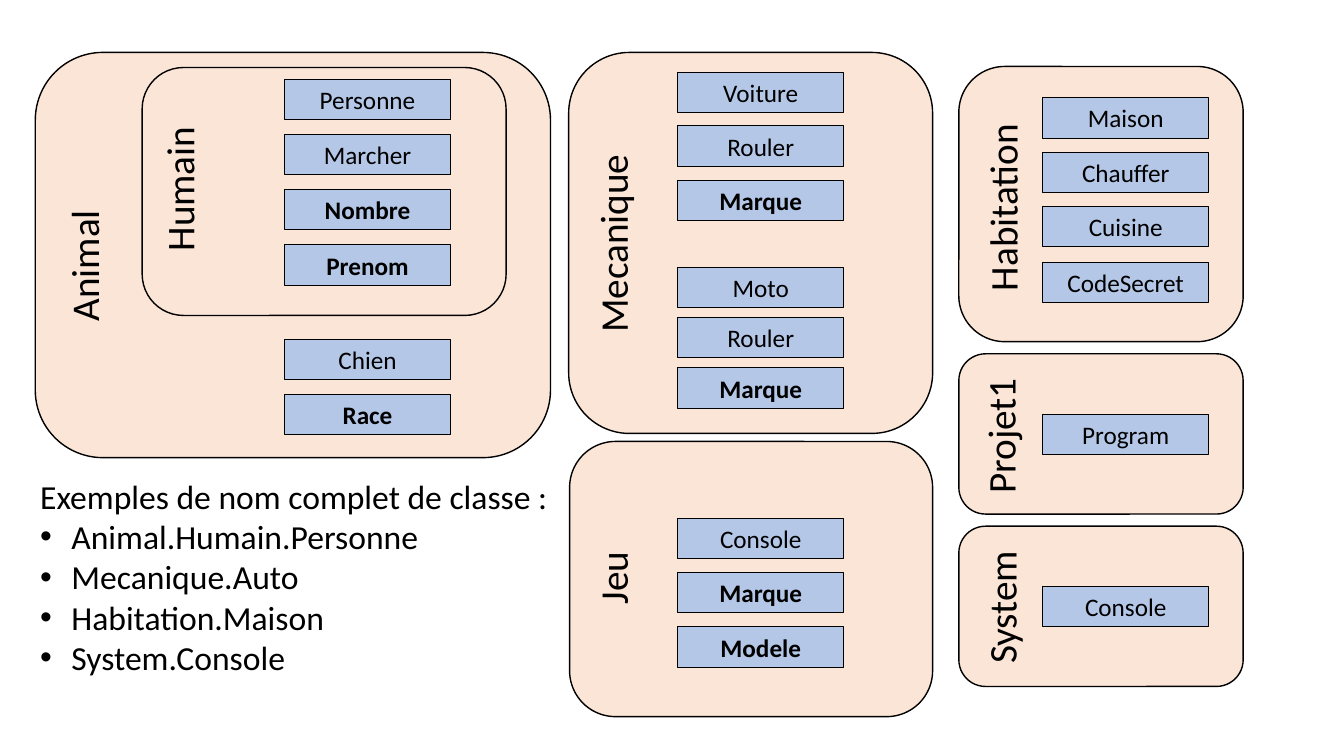
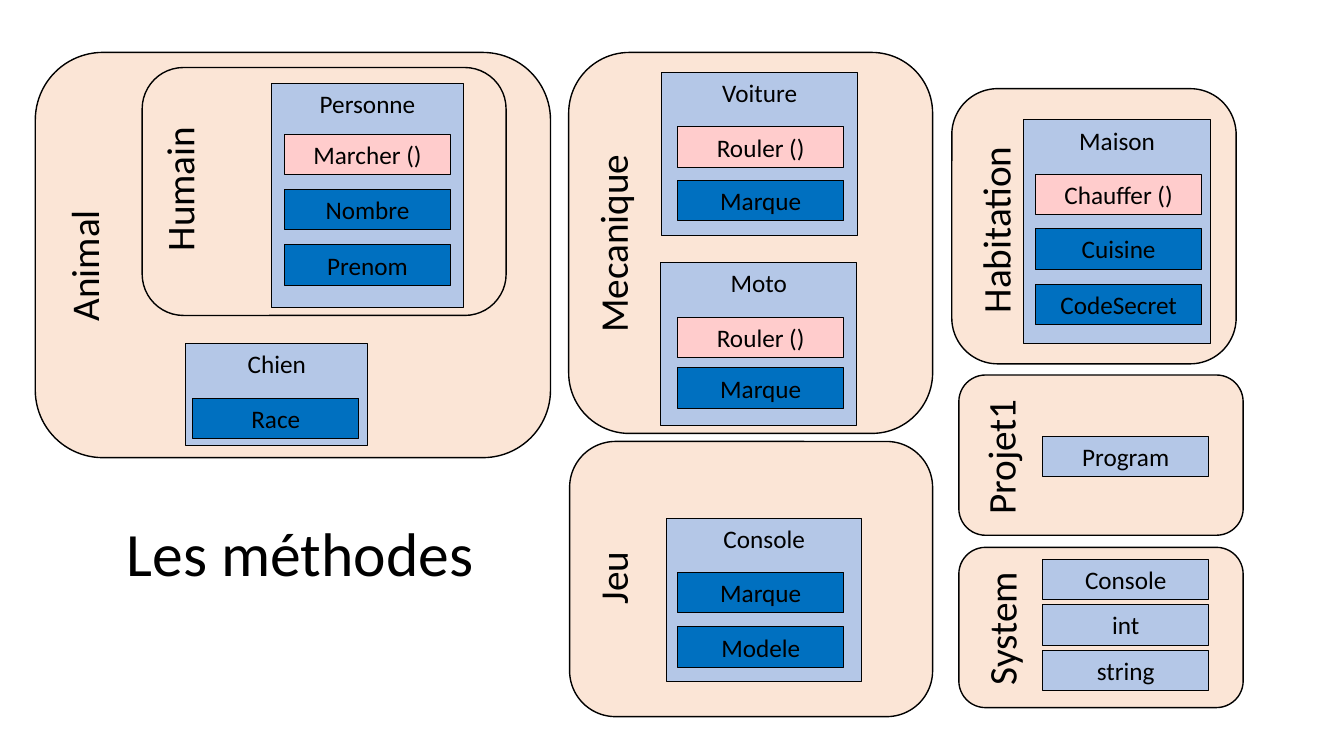
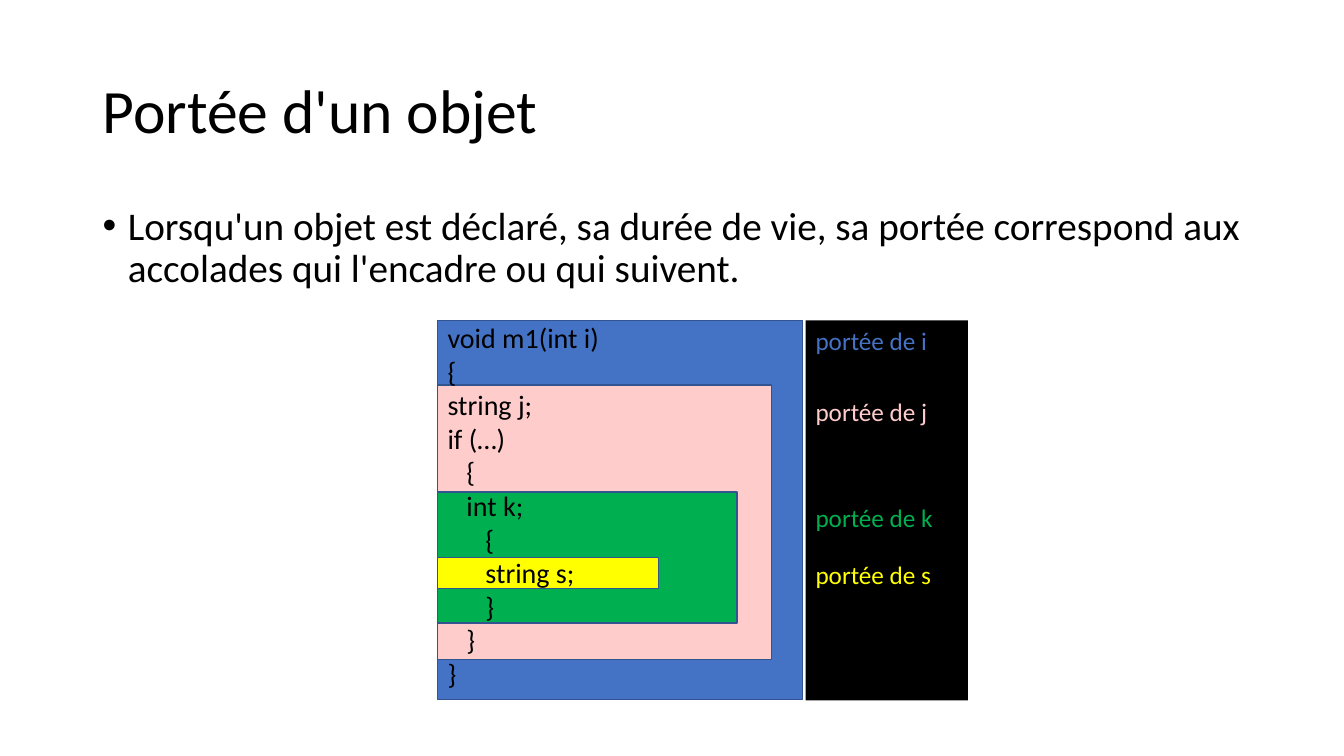
from dataclasses import dataclass, replace
from typing import Optional

from lxml.etree import SubElement
from pptx import Presentation
from pptx.dml.color import RGBColor
from pptx.enum.shapes import MSO_SHAPE as Preset
from pptx.enum.text import MSO_ANCHOR as Anchor, PP_ALIGN as Align
from pptx.oxml.ns import qn
from pptx.shapes.autoshape import Shape
from pptx.util import Emu, Pt

PX = 9144  # one hundredth of an inch, in EMU


@dataclass(frozen=True)
class Theme:
    font: str = "Calibri"
    ink: str = "000000"
    namespace: str = "FBE5D6"
    type_fill: str = "B4C7E7"
    pink: str = "FFCCCC"
    field: str = "0070C0"
    scope_blue: str = "4472C4"
    scope_green: str = "00B050"
    scope_yellow: str = "FFFF00"
    scope_line: str = "325491"
    title_size: int = 44
    heading_size: int = 28
    list_size: int = 24
    code_size: int = 20
    cell_size: int = 18
    thin: float = 0.75
    outline: float = 1


THEME = Theme()


@dataclass(frozen=True)
class Box:
    left: int
    top: int
    width: int
    height: int

    def moved(self, dx: int, dy: int) -> "Box":
        return replace(self, left=self.left + dx, top=self.top + dy)

    def emu(self) -> tuple[Emu, ...]:
        return tuple(Emu(n * PX) for n in (self.left, self.top, self.width, self.height))


@dataclass(frozen=True)
class Para:
    text: str
    size: int
    color: str = THEME.ink
    bold: bool = False
    align: Align = Align.LEFT
    indent: int = 0  # hanging indent in px; adds a bullet
    before: float = 0
    spacing: Optional[float] = None


@dataclass(frozen=True)
class Look:
    fill: str
    bold: bool = False


@dataclass(frozen=True)
class Namespace:
    name: str
    area: Box
    label: Box

    def moved(self, dx: int, dy: int) -> "Namespace":
        return replace(self, area=self.area.moved(dx, dy), label=self.label.moved(dx, dy))


@dataclass(frozen=True)
class Stack:
    """Cells of one column, evenly spread between the first and last top."""
    left: int
    first: int
    last: int
    cells: tuple[tuple[str, Look], ...]


@dataclass(frozen=True)
class ClassFrame:
    name: str
    area: Box


TYPE = Look(THEME.type_fill)
STRONG = Look(THEME.type_fill, bold=True)
METHOD = Look(THEME.pink)
FIELD = Look(THEME.field)
CELL_WIDTH, CELL_HEIGHT = 165, 40
LABEL_HEIGHT = 57


def label_box(left: int, top: int, width: int) -> Box:
    return Box(left, top, width, LABEL_HEIGHT)


MECANIQUE = Namespace("Mecanique", Box(564, 52, 361, 378), label_box(508, 212, 199))
ANIMAL = Namespace("Animal", Box(35, 52, 511, 402), label_box(17, 234, 132))
HUMAIN = Namespace("Humain", Box(141, 67, 361, 246), label_box(105, 158, 145))
HABITATION = Namespace("Habitation", Box(951, 66, 282, 273), label_box(900, 176, 188))
JEU = Namespace("Jeu", Box(565, 438, 360, 273), label_box(571, 544, 73))
PROJET = Namespace("Projet1", Box(951, 351, 282, 159), label_box(924, 403, 136))
SYSTEM = Namespace("System", Box(951, 522, 282, 159), label_box(926, 573, 134))

COMPLETE_NAMES = (MECANIQUE, ANIMAL, HUMAIN, HABITATION, JEU, PROJET, SYSTEM)
COMPLETE_STACKS = (
    Stack(282, 79, 243, (("Personne", TYPE), ("Marcher", TYPE),
                         ("Nombre", STRONG), ("Prenom", STRONG))),
    Stack(282, 337, 391, (("Chien", TYPE), ("Race", STRONG))),
    Stack(672, 72, 179, (("Voiture", TYPE), ("Rouler", TYPE), ("Marque", STRONG))),
    Stack(672, 265, 365, (("Moto", TYPE), ("Rouler", TYPE), ("Marque", STRONG))),
    Stack(672, 514, 622, (("Console", TYPE), ("Marque", STRONG), ("Modele", STRONG))),
    Stack(1034, 97, 260, (("Maison", TYPE), ("Chauffer", TYPE),
                          ("Cuisine", TYPE), ("CodeSecret", TYPE))),
    Stack(1034, 411, 411, (("Program", TYPE),)),
    Stack(1034, 582, 582, (("Console", TYPE),)),
)
EXAMPLES = ("Animal.Humain.Personne", "Mecanique.Auto", "Habitation.Maison", "System.Console")

METHOD_NAMES = (MECANIQUE, ANIMAL, HUMAIN, HABITATION.moved(-7, 22), JEU,
                PROJET.moved(0, 21), SYSTEM.moved(0, 21))
METHOD_FRAMES = (
    ClassFrame("Personne", Box(269, 83, 191, 222)),
    ClassFrame("Chien", Box(184, 341, 181, 101)),
    ClassFrame("Voiture", Box(656, 72, 195, 162)),
    ClassFrame("Moto", Box(655, 260, 195, 162)),
    ClassFrame("Console", Box(661, 514, 194, 162)),
    ClassFrame("Maison", Box(1015, 119, 186, 222)),
)
METHOD_STACKS = (
    Stack(282, 133, 243, (("Marcher ()", METHOD), ("Nombre", FIELD), ("Prenom", FIELD))),
    Stack(191, 395, 395, (("Race", FIELD),)),
    Stack(672, 126, 179, (("Rouler ()", METHOD), ("Marque", FIELD))),
    Stack(672, 315, 365, (("Rouler ()", METHOD), ("Marque", FIELD))),
    Stack(672, 568, 622, (("Marque", FIELD), ("Modele", FIELD))),
    Stack(1027, 173, 282, (("Chauffer ()", METHOD), ("Cuisine", FIELD), ("CodeSecret", FIELD))),
    Stack(1034, 433, 433, (("Program", TYPE),)),
    Stack(1034, 555, 645, (("Console", TYPE), ("int", TYPE), ("string", TYPE))),
)

SCOPES = (
    (Box(434, 318, 362, 376), THEME.scope_blue),
    (Box(434, 382, 331, 272), THEME.pink),
    (Box(434, 488, 297, 130), THEME.scope_green),
    (Box(434, 553, 219, 31), THEME.scope_yellow),
)
CODE = ("void m1(int i)", "{", "string j;", "if (…)", "   {", "   int k;",
        "      {", "      string s;", "      }", "   }", "}")
SCOPE_KEYS = (("i", THEME.scope_blue, 0), ("j", THEME.pink, 29.3),
              ("k", THEME.scope_green, 53.7), ("s", THEME.scope_yellow, 19.5))


def write(shape: Shape, paras: list[Para], wrap: bool = True, anchor: Anchor = Anchor.TOP) -> None:
    frame = shape.text_frame
    frame.word_wrap = wrap
    frame.vertical_anchor = anchor
    for index, para in enumerate(paras):
        line = frame.add_paragraph() if index else frame.paragraphs[0]
        line.text = para.text
        line.alignment = para.align
        if para.indent:
            props = line._p.get_or_add_pPr()
            props.set("marL", str(para.indent * PX))
            props.set("indent", str(-para.indent * PX))
            SubElement(props, qn("a:buFont")).set("typeface", "Arial")
            SubElement(props, qn("a:buChar")).set("char", "•")
        if para.before:
            line.space_before = Pt(para.before)
        if para.spacing:
            line.line_spacing = para.spacing
        font = line.font
        font.name, font.size, font.bold = THEME.font, Pt(para.size), para.bold
        font.color.rgb = RGBColor.from_string(para.color)


def add_text(shapes, area: Box, paras: list[Para], wrap: bool = True,
             anchor: Anchor = Anchor.TOP) -> Shape:
    holder = shapes.add_textbox(*area.emu())
    write(holder, paras, wrap, anchor)
    return holder


def add_block(shapes, area: Box, fill: str, line: Optional[str] = THEME.ink,
              weight: float = THEME.outline, preset: Preset = Preset.RECTANGLE) -> Shape:
    block = shapes.add_shape(preset, *area.emu())
    block.shadow.inherit = False
    block.fill.solid()
    block.fill.fore_color.rgb = RGBColor.from_string(fill)
    if line:
        block.line.color.rgb = RGBColor.from_string(line)
        block.line.width = Pt(weight)
    else:
        block.line.fill.background()
    return block


def add_namespace(shapes, namespace: Namespace) -> None:
    add_block(shapes, namespace.area, THEME.namespace, preset=Preset.ROUNDED_RECTANGLE)
    label = add_text(shapes, namespace.label, [Para(namespace.name, THEME.heading_size)], wrap=False)
    label.rotation = 270


def add_cell(shapes, area: Box, name: str, look: Look) -> None:
    cell = add_block(shapes, area, look.fill, weight=THEME.thin)
    write(cell, [Para(name, THEME.cell_size, bold=look.bold, align=Align.CENTER)])


def add_stack(shapes, stack: Stack) -> None:
    gaps = max(len(stack.cells) - 1, 1)
    for index, (name, look) in enumerate(stack.cells):
        top = stack.first + (stack.last - stack.first) * index // gaps
        add_cell(shapes, Box(stack.left, top, CELL_WIDTH, CELL_HEIGHT), name, look)


def add_diagram(shapes, namespaces: tuple[Namespace, ...], stacks: tuple[Stack, ...],
                frames: tuple[ClassFrame, ...] = ()) -> None:
    for namespace in namespaces:
        add_namespace(shapes, namespace)
    for frame in frames:
        add_cell(shapes, frame.area, frame.name, TYPE)
    for stack in stacks:
        add_stack(shapes, stack)


def add_title(shapes, area: Box, text: str, anchor: Anchor) -> None:
    add_text(shapes, area, [Para(text, THEME.title_size, spacing=0.9)], anchor=anchor)


def build_complete_names(shapes) -> None:
    add_diagram(shapes, COMPLETE_NAMES, COMPLETE_STACKS)
    heading = Para("Exemples de nom complet de classe :", THEME.list_size)
    examples = [Para(name, THEME.list_size, indent=31) for name in EXAMPLES]
    add_text(shapes, Box(30, 467, 595, 212), [heading, *examples])


def build_methods(shapes) -> None:
    add_diagram(shapes, METHOD_NAMES, METHOD_STACKS, METHOD_FRAMES)
    add_title(shapes, Box(116, 514, 393, 127), "Les méthodes", Anchor.TOP)


def build_scope(shapes) -> None:
    add_title(shapes, Box(92, 40, 1150, 145), "Portée d'un objet", Anchor.MIDDLE)
    rule = ("Lorsqu'un objet est déclaré, sa durée de vie, sa portée correspond aux "
            "accolades qui l'encadre ou qui suivent.")
    add_text(shapes, Box(92, 200, 1150, 145),
             [Para(rule, THEME.heading_size, indent=25, spacing=0.9)])
    listing = shapes.add_group_shape().shapes
    for area, fill in SCOPES:
        add_block(listing, area, fill, THEME.scope_line)
    add_text(listing, Box(434, 313, 172, 380),
             [Para(line, THEME.code_size) for line in CODE], wrap=False)
    legend = add_block(listing, Box(799, 318, 161, 377), THEME.ink, line=None)
    write(legend, [Para(f"portée de {name}", THEME.cell_size, color, before=before)
                   for name, color, before in SCOPE_KEYS])


def main() -> None:
    deck = Presentation()
    deck.slide_width, deck.slide_height = Emu(1333 * PX), Emu(750 * PX)
    blank = deck.slide_layouts[6]
    for build in (build_complete_names, build_methods, build_scope):
        build(deck.slides.add_slide(blank).shapes)
    deck.save("out.pptx")


if __name__ == "__main__":
    main()
